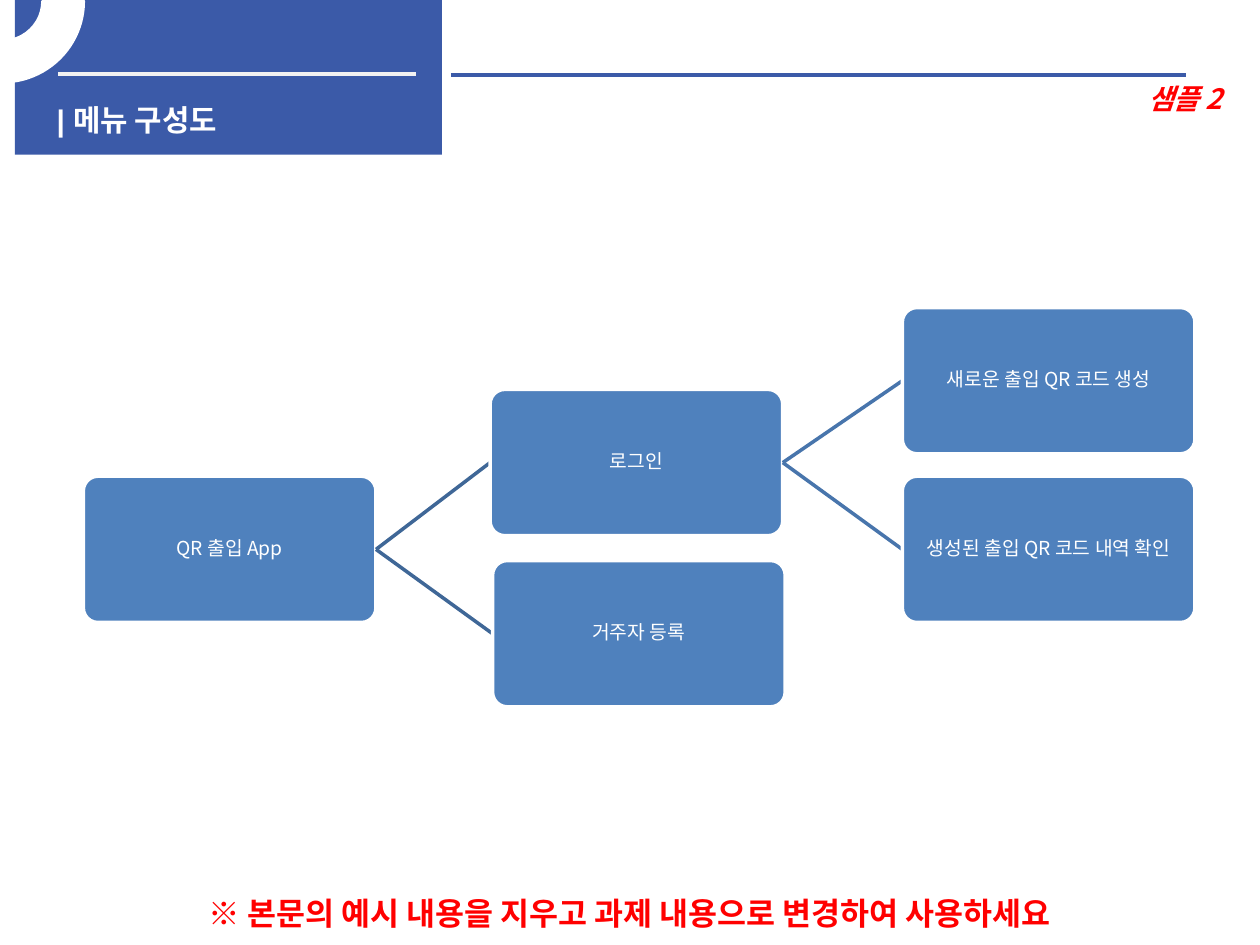
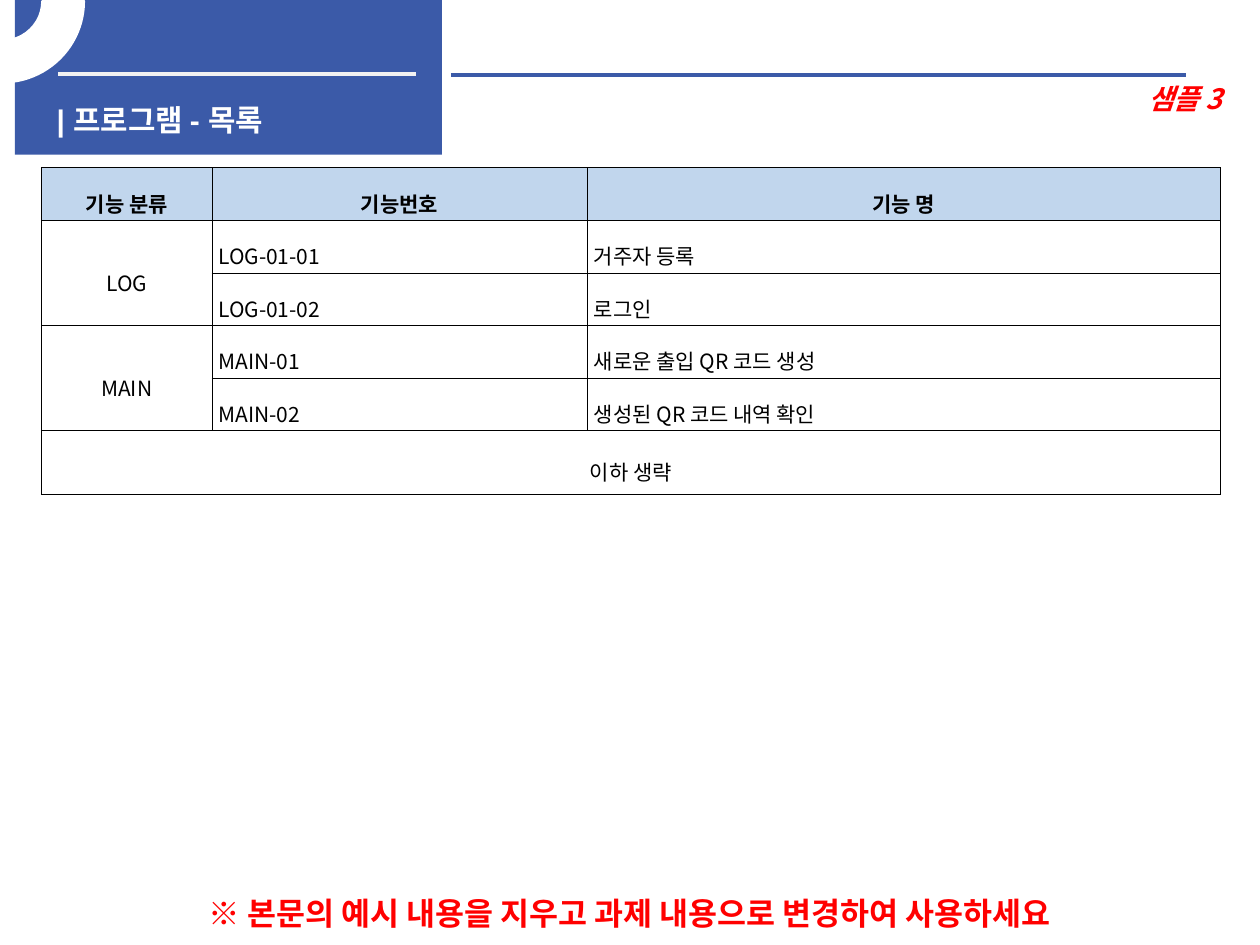
import dataclasses

import lxml.etree
import pptx
import pptx.dml.color
import pptx.enum.shapes
import pptx.enum.text
import pptx.oxml.ns
import pptx.util

Cm = pptx.util.Cm
Pt = pptx.util.Pt
qn = pptx.oxml.ns.qn
ALIGN = pptx.enum.text.PP_ALIGN
ANCHOR = pptx.enum.text.MSO_ANCHOR
SHAPE = pptx.enum.shapes.MSO_SHAPE
STRAIGHT = pptx.enum.shapes.MSO_CONNECTOR.STRAIGHT


@dataclasses.dataclass(frozen=True)
class Theme:
    band: str = "3B5AA8"
    band_rule: str = "F2F2F2"
    white: str = "FFFFFF"
    black: str = "000000"
    alert: str = "FF0000"
    node: str = "4F81BD"
    first_link: str = "3F6797"
    second_link: str = "4875AC"
    header: str = "C1D6ED"
    title_font: str = "Arial"
    body_font: str = "Noto Sans CJK KR"
    title_size: float = 17
    sample_size: float = 16
    notice_size: float = 18
    node_size: float = 11
    cell_size: float = 12
    rule_width: float = 2.25
    node_line: float = 2
    cell_line: float = 0.28


NOTICE = "※ 본문의 예시 내용을 지우고 과제 내용으로 변경하여 사용하세요"
NODE_WIDTH, NODE_HEIGHT = 5.9, 2.95

# label: left, top in cm
MENU_NODES = {
    "QR 출입 App": (1.68, 9.6),
    "로그인": (9.88, 7.85),
    "새로운 출입 QR 코드 생성": (18.19, 6.2),
    "생성된 출입 QR 코드 내역 확인": (18.19, 9.6),
    "거주자 등록": (9.93, 11.3),
}
MENU_TREE = {
    "QR 출입 App": ["로그인", "거주자 등록"],
    "로그인": ["새로운 출입 QR 코드 생성", "생성된 출입 QR 코드 내역 확인"],
}

PROGRAM_ROWS = [
    ("기능 분류", "기능번호", "기능 명"),
    ("LOG", "LOG-01-01", "거주자 등록"),
    ("", "LOG-01-02", "로그인"),
    ("MAIN", "MAIN-01", "새로운 출입 QR 코드 생성"),
    ("", "MAIN-02", "생성된 QR 코드 내역 확인"),
    ("이하 생략", "", ""),
]
PROGRAM_MERGES = [((1, 0), (2, 0)), ((3, 0), (4, 0)), ((5, 0), (5, 2))]
COLUMN_WIDTHS = [3.43, 7.57, 12.75]
ROW_HEIGHTS = [1.06] * 5 + [1.29]


def rgb(color):
    return pptx.dml.color.RGBColor.from_string(color)


class Deck:
    def __init__(self, theme):
        self.theme = theme
        self.presentation = pptx.Presentation()
        self.presentation.slide_width = Cm(25.4)
        self.presentation.slide_height = Cm(19.05)
        self.slide = None

    def new_slide(self, title, sample):
        """Start a slide with the band, title, sample label and notice."""
        theme = self.theme
        title_only = self.presentation.slide_layouts[5]
        self.slide = self.presentation.slides.add_slide(title_only)
        self.shape(SHAPE.RECTANGLE, 0.3, 0, 8.61, 3.12, theme.band)
        self.line((1.17, 1.5), (8.38, 1.5), theme.band_rule, theme.rule_width)
        self.line((9.09, 1.52), (23.9, 1.52), theme.band, theme.rule_width)
        self.title(title)
        ring = self.shape(SHAPE.BLOCK_ARC, -1.6, -1.6, 3.28, 3.25,
                          theme.white, theme.white)
        for index, value in enumerate((96.95, 0, 0.25)):
            ring.adjustments[index] = value
        ring._element.spPr.find(qn("a:xfrm")).set("flipV", "1")
        self.text(sample, 10.69, 1.52, 14.2, 0.94, theme.sample_size,
                  ALIGN.RIGHT, italic=True)
        self.text(NOTICE, 1.24, 17.9, 22.91, 1.02, theme.notice_size,
                  ALIGN.CENTER, ANCHOR.MIDDLE)

    def fill_text(self, frame, words, size, color, align=ALIGN.LEFT,
                  bold=False, italic=False, font=None, spacing=None):
        frame.text = words
        frame.word_wrap = True
        paragraph = frame.paragraphs[0]
        paragraph.alignment = align
        paragraph.line_spacing = spacing
        style = paragraph.font
        style.name = font or self.theme.body_font
        style.size = Pt(size)
        style.bold = bold
        style.italic = italic
        style.color.rgb = rgb(color)
        east_asian = lxml.etree.SubElement(
            paragraph._p.pPr.find(qn("a:defRPr")), qn("a:ea"))
        east_asian.set("typeface", self.theme.body_font)

    def title(self, words):
        heading = self.slide.shapes.title
        heading.left, heading.top = Cm(0.89), Cm(1.93)
        heading.width, heading.height = Cm(7.8), Cm(0.81)
        frame = heading.text_frame
        self.fill_text(frame, words, self.theme.title_size, self.theme.white,
                       bold=True, font=self.theme.title_font)
        frame.vertical_anchor = ANCHOR.TOP
        frame.auto_size = pptx.enum.text.MSO_AUTO_SIZE.NONE
        # The placeholder comes first, so lift it above the band.
        self.slide.shapes._spTree.append(heading._element)

    def text(self, words, left, top, width, height, size, align,
             anchor=ANCHOR.TOP, italic=False):
        frame = self.slide.shapes.add_textbox(
            Cm(left), Cm(top), Cm(width), Cm(height)).text_frame
        frame.vertical_anchor = anchor
        self.fill_text(frame, words, size, self.theme.alert, align,
                       bold=True, italic=italic)

    def shape(self, kind, left, top, width, height, fill, outline=None):
        shape = self.slide.shapes.add_shape(
            kind, Cm(left), Cm(top), Cm(width), Cm(height))
        shape.shadow.inherit = False
        shape.fill.solid()
        shape.fill.fore_color.rgb = rgb(fill)
        if outline:
            shape.line.color.rgb = rgb(outline)
            shape.line.width = Pt(self.theme.node_line)
        else:
            shape.line.fill.background()
        return shape

    def line(self, start, end, color, width):
        line = self.slide.shapes.add_connector(
            STRAIGHT, *(Cm(value) for value in (*start, *end)))
        line.line.color.rgb = rgb(color)
        line.line.width = Pt(width)
        lxml.etree.SubElement(line._element.spPr, qn("a:effectLst"))
        return line

    def node(self, label, left, top):
        node = self.shape(SHAPE.ROUNDED_RECTANGLE, left, top, NODE_WIDTH,
                          NODE_HEIGHT, self.theme.node, self.theme.white)
        node.adjustments[0] = 0.1
        frame = node.text_frame
        frame.margin_left = frame.margin_right = Cm(0.12)
        frame.margin_top = frame.margin_bottom = Cm(0.12)
        frame.vertical_anchor = ANCHOR.MIDDLE
        self.fill_text(frame, label, self.theme.node_size, self.theme.white,
                       ALIGN.CENTER, spacing=0.9)
        return node

    def link(self, parent, child, color):
        """Join parent's right side to child's left side, beneath child."""
        link = self.line((0, 0), (0, 0), color, self.theme.node_line)
        link.begin_connect(parent, 3)
        link.end_connect(child, 1)
        child._element.addprevious(link._element)

    def table(self, rows, merges, left, top, widths, heights):
        table = self.slide.shapes.add_table(
            len(rows), len(widths), Cm(left), Cm(top),
            Cm(sum(widths)), Cm(sum(heights))).table
        table.first_row = table.horz_banding = False
        for column, width in zip(table.columns, widths):
            column.width = Cm(width)
        for row, height in zip(table.rows, heights):
            row.height = Cm(height)
        for row, words in enumerate(rows):
            for column, word in enumerate(words):
                self.cell(table.cell(row, column), word, row == 0, column == 0)
        for first, last in merges:
            table.cell(*first).merge(table.cell(*last))

    def cell(self, cell, words, is_header, is_category):
        if is_header:
            cell.fill.solid()
            cell.fill.fore_color.rgb = rgb(self.theme.header)
        else:
            cell.fill.background()
        cell.margin_left = cell.margin_right = Cm(0.13)
        cell.margin_top = cell.margin_bottom = Cm(0.03)
        cell.vertical_anchor = ANCHOR.MIDDLE
        centred = is_header or is_category
        self.fill_text(cell.text_frame, words, self.theme.cell_size,
                       self.theme.black,
                       ALIGN.CENTER if centred else ALIGN.JUSTIFY,
                       bold=is_header, spacing=1.6)
        properties = cell._tc.get_or_add_tcPr()
        for index, side in enumerate("LRTB"):
            border = lxml.etree.Element(qn(f"a:ln{side}"))
            border.set("w", str(int(Pt(self.theme.cell_line))))
            fill = lxml.etree.SubElement(border, qn("a:solidFill"))
            color = lxml.etree.SubElement(fill, qn("a:srgbClr"))
            color.set("val", self.theme.black)
            properties.insert(index, border)


def add_menu_slide(deck):
    deck.new_slide("| 메뉴 구성도", "샘플 2")
    nodes = {label: deck.node(label, *place)
             for label, place in MENU_NODES.items()}
    link_colors = (deck.theme.first_link, deck.theme.second_link)
    for color, (parent, children) in zip(link_colors, MENU_TREE.items()):
        for child in children:
            deck.link(nodes[parent], nodes[child], color)


def add_program_slide(deck):
    deck.new_slide("| 프로그램 - 목록", "샘플 3")
    deck.table(PROGRAM_ROWS, PROGRAM_MERGES, 0.84, 3.38,
               COLUMN_WIDTHS, ROW_HEIGHTS)


def main():
    deck = Deck(Theme())
    add_menu_slide(deck)
    add_program_slide(deck)
    deck.presentation.save("out.pptx")


if __name__ == "__main__":
    main()
